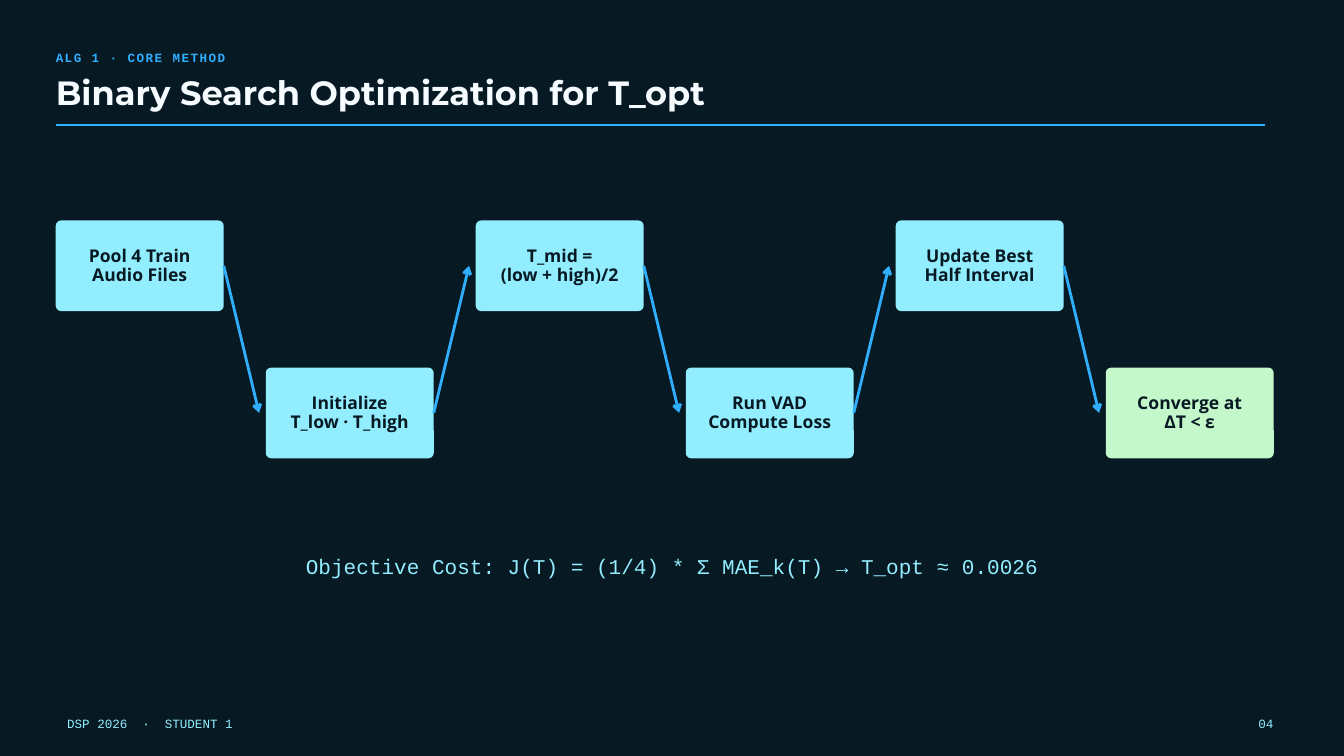
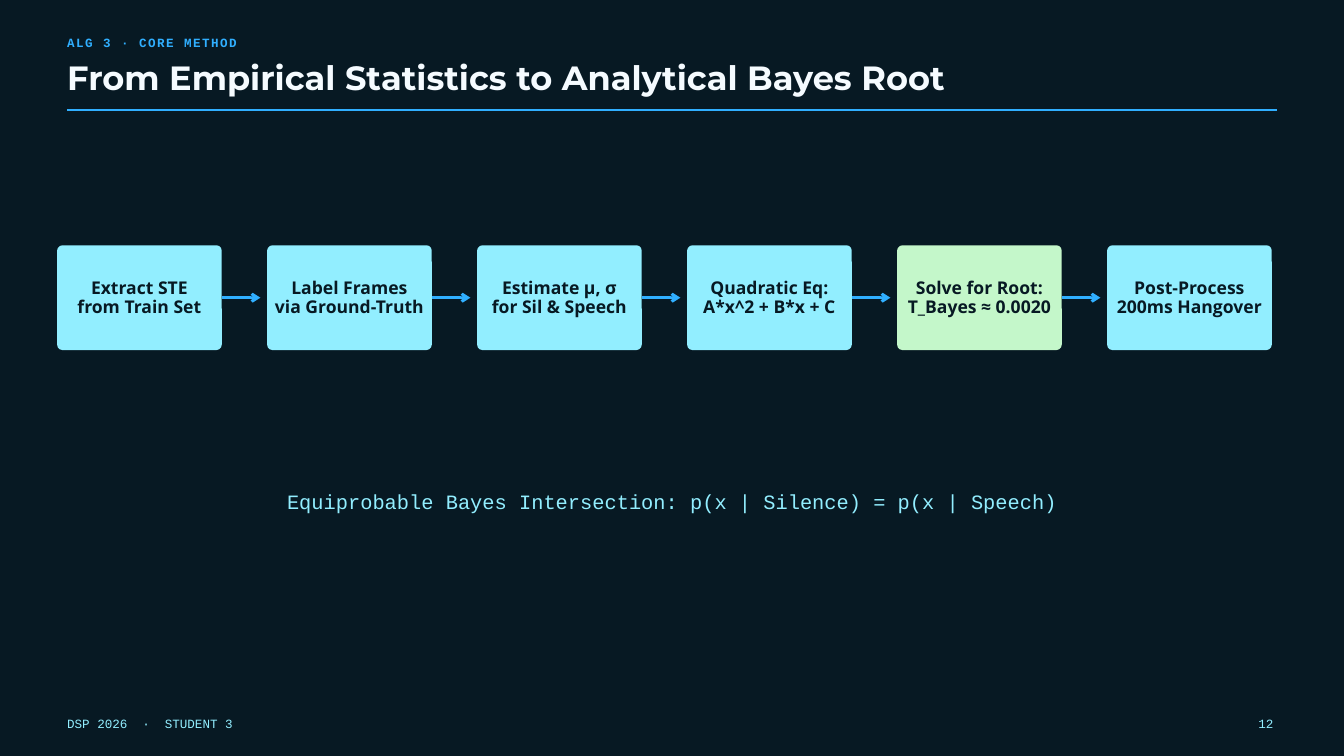
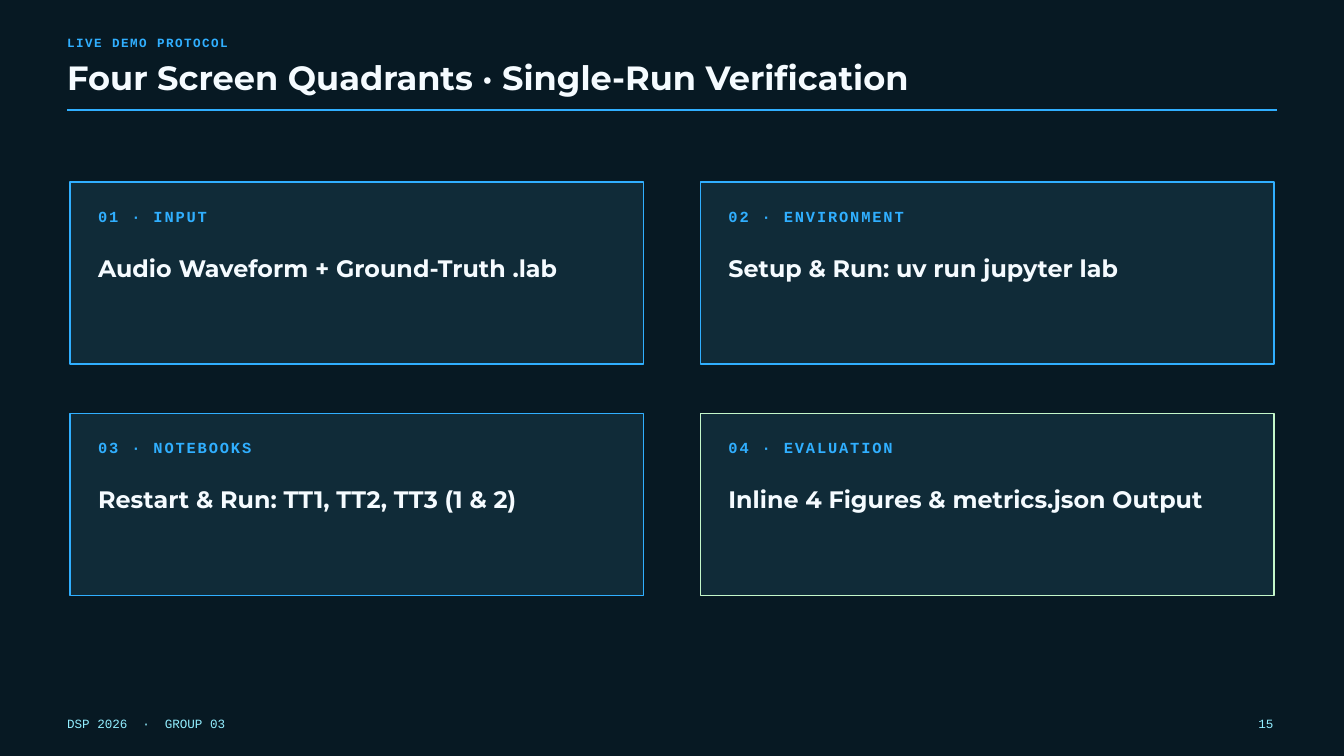
from lxml import etree
from pptx import Presentation
from pptx.dml.color import RGBColor
from pptx.enum.shapes import MSO_CONNECTOR, MSO_SHAPE
from pptx.enum.text import MSO_ANCHOR, PP_ALIGN
from pptx.oxml.ns import qn
from pptx.util import Inches, Pt

LEFT, CENTER, RIGHT = PP_ALIGN.LEFT, PP_ALIGN.CENTER, PP_ALIGN.RIGHT
MIDDLE = MSO_ANCHOR.MIDDLE
STRAIGHT = MSO_CONNECTOR.STRAIGHT
RECTANGLE, ROUNDED = MSO_SHAPE.RECTANGLE, MSO_SHAPE.ROUNDED_RECTANGLE

NIGHT = RGBColor(0x07, 0x19, 0x23)
PANEL = RGBColor(0x10, 0x2B, 0x38)
BLUE = RGBColor(0x30, 0xAF, 0xFF)
CYAN = RGBColor(0x92, 0xEE, 0xFF)
GREEN = RGBColor(0xC4, 0xF7, 0xCA)
WHITE = RGBColor(0xF5, 0xFB, 0xFF)

MONO, HEADING, BODY = "Courier New", "Montserrat", "Open Sans"

# Content
SEARCH = {
    "header": ("ALG 1 · CORE METHOD", "Binary Search Optimization for T_opt"),
    "header_at": (0.83, 0.7),
    "steps": [
        ("Pool 4 Train", "Audio Files"),
        ("Initialize", "T_low · T_high"),
        ("T_mid =", "(low + high)/2"),
        ("Run VAD", "Compute Loss"),
        ("Update Best", "Half Interval"),
        ("Converge at", "ΔT < ε"),
    ],
    "highlight": 5,
    "first_left": 0.83,
    "row_tops": (3.28, 5.47),
    "step_size": (2.5, 1.35),
    "formula": "Objective Cost: J(T) = (1/4) * Σ MAE_k(T) → T_opt ≈ 0.0026",
    "formula_style": (8.22, 22.5, 28.1),
    "footer": ("DSP 2026  ·  STUDENT 1", "04"),
}
BAYES = {
    "header": ("ALG 3 · CORE METHOD",
               "From Empirical Statistics to Analytical Bayes Root"),
    "header_at": (1, 0.48),
    "steps": [
        ("Extract STE", "from Train Set"),
        ("Label Frames", "via Ground-Truth"),
        ("Estimate μ, σ", "for Sil & Speech"),
        ("Quadratic Eq:", "A*x^2 + B*x + C"),
        ("Solve for Root:", "T_Bayes ≈ 0.0020"),
        ("Post-Process", "200ms Hangover"),
    ],
    "highlight": 4,
    "first_left": 0.85,
    "row_tops": (3.65, 3.65),
    "step_size": (2.45, 1.56),
    "formula": "Equiprobable Bayes Intersection: p(x | Silence) = p(x | Speech)",
    "formula_style": (7.27, 21.8, 27.2),
    "footer": ("DSP 2026  ·  STUDENT 3", "12"),
}
DEMO = {
    "header": ("LIVE DEMO PROTOCOL",
               "Four Screen Quadrants · Single-Run Verification"),
    "header_at": (1, 0.48),
    "quadrants": [
        ("01 · INPUT", "Audio Waveform + Ground-Truth .lab", BLUE),
        ("02 · ENVIRONMENT", "Setup & Run: uv run jupyter lab", BLUE),
        ("03 · NOTEBOOKS", "Restart & Run: TT1, TT2, TT3 (1 & 2)", BLUE),
        ("04 · EVALUATION", "Inline 4 Figures & metrics.json Output", GREEN),
    ],
    "footer": ("DSP 2026  ·  GROUP 03", "15"),
}

STEP_PITCH = 3.125
ARROW_GAP = 0.1
QUADRANT_SIZE = (8.54, 2.71)
QUADRANT_ORIGIN = (1.04, 2.71)
QUADRANT_PITCH = (9.38, 3.44)


def inches(*lengths):
    return [Inches(length) for length in lengths]


def write(frame, lines, font, size, color, leading,
          bold=False, align=LEFT, spacing=0, inset=0):
    frame.word_wrap = True
    frame.margin_left = frame.margin_right = Inches(inset)
    frame.margin_top = frame.margin_bottom = Inches(inset)
    for index, line in enumerate(lines):
        paragraph = frame.paragraphs[0] if index == 0 else frame.add_paragraph()
        paragraph.alignment = align
        paragraph.line_spacing = Pt(leading)
        run = paragraph.add_run()
        run.text = line
        run.font.name, run.font.size, run.font.bold = font, Pt(size), bold
        run.font.color.rgb = color
        if spacing:
            run._r.get_or_add_rPr().set("spc", str(round(spacing * 100)))


def add_label(slide, at, text, *style, **options):
    box = slide.shapes.add_textbox(*inches(*at))
    write(box.text_frame, [text], *style, **options)


def add_box(slide, preset, at, fill):
    box = slide.shapes.add_shape(preset, *inches(*at))
    box.shadow.inherit = False
    box.fill.solid()
    box.fill.fore_color.rgb = fill
    return box


def add_line(slide, start, end, width, arrow=False):
    line = slide.shapes.add_connector(STRAIGHT, *inches(*start, *end))
    line.line.color.rgb = BLUE
    line.line.width = Pt(width)
    if arrow:
        etree.SubElement(line.line._get_or_add_ln(), qn("a:tailEnd"), type="arrow")
    etree.SubElement(line._element.spPr, qn("a:effectLst"))


def add_frame(deck, content):
    """Add a slide with its background, header and footer."""
    slide = deck.slides.add_slide(deck.slide_layouts[6])
    slide.background.fill.solid()
    slide.background.fill.fore_color.rgb = NIGHT

    # Header
    left, top = content["header_at"]
    kicker, title = content["header"]
    add_label(slide, (left, top, 2.71, 0.25), kicker, MONO, 13.5, BLUE, 18.9,
              bold=True, spacing=1.6)
    add_label(slide, (left, top + 0.44, 15.62, 0.55), title, HEADING, 36, WHITE,
              37.8, bold=True)
    add_line(slide, (left, top + 1.16), (left + 18, top + 1.16), 2)

    # Footer
    course, number = content["footer"]
    add_label(slide, (1, 10.64, 9.38, 0.23), course, MONO, 13.5, CYAN, 16.9)
    add_label(slide, (18.12, 10.64, 0.83, 0.23), number, MONO, 13.5, CYAN, 16.9,
              align=RIGHT)
    return slide


def add_flow_slide(deck, content):
    slide = add_frame(deck, content)
    width, height = content["step_size"]
    rows = content["row_tops"]
    corners = [(content["first_left"] + i * STEP_PITCH, rows[i % 2])
               for i in range(len(content["steps"]))]

    # Steps
    for i, (lines, (left, top)) in enumerate(zip(content["steps"], corners)):
        fill = GREEN if i == content["highlight"] else CYAN
        step = add_box(slide, ROUNDED, (left, top, width, height), fill)
        step.adjustments[0] = 0.08 / height
        step.line.fill.background()
        write(step.text_frame, lines, BODY, 18.8, NIGHT, 20.6,
              bold=True, align=CENTER, inset=0.06)
        step.text_frame.vertical_anchor = MIDDLE

    # Arrows from each step to the next
    for (left, top), (next_left, next_top) in zip(corners, corners[1:]):
        add_line(slide, (left + width, top + height / 2),
                 (next_left - ARROW_GAP, next_top + height / 2), 3, arrow=True)

    # Formula
    top, size, leading = content["formula_style"]
    add_label(slide, (1.88, top, 16.25, 0.38), content["formula"],
              MONO, size, CYAN, leading, align=CENTER)


def add_quadrant_slide(deck, content):
    slide = add_frame(deck, content)
    for i, (tag, task, outline) in enumerate(content["quadrants"]):
        row, column = divmod(i, 2)
        left = QUADRANT_ORIGIN[0] + column * QUADRANT_PITCH[0]
        top = QUADRANT_ORIGIN[1] + row * QUADRANT_PITCH[1]
        panel = add_box(slide, RECTANGLE, (left, top, *QUADRANT_SIZE), PANEL)
        panel.line.color.rgb = outline
        panel.line.width = Pt(1.5)
        add_label(slide, (left + 0.42, top + 0.33, 7.29, 0.3), tag,
                  MONO, 16.5, BLUE, 23.1, bold=True, spacing=2)
        add_label(slide, (left + 0.42, top + 1.12, 7.5, 0.39), task,
                  HEADING, 25.5, WHITE, 26.8, bold=True)


def main():
    deck = Presentation()
    deck.slide_width, deck.slide_height = inches(20, 11.25)
    add_flow_slide(deck, SEARCH)
    add_flow_slide(deck, BAYES)
    add_quadrant_slide(deck, DEMO)
    deck.save("out.pptx")


if __name__ == "__main__":
    main()
